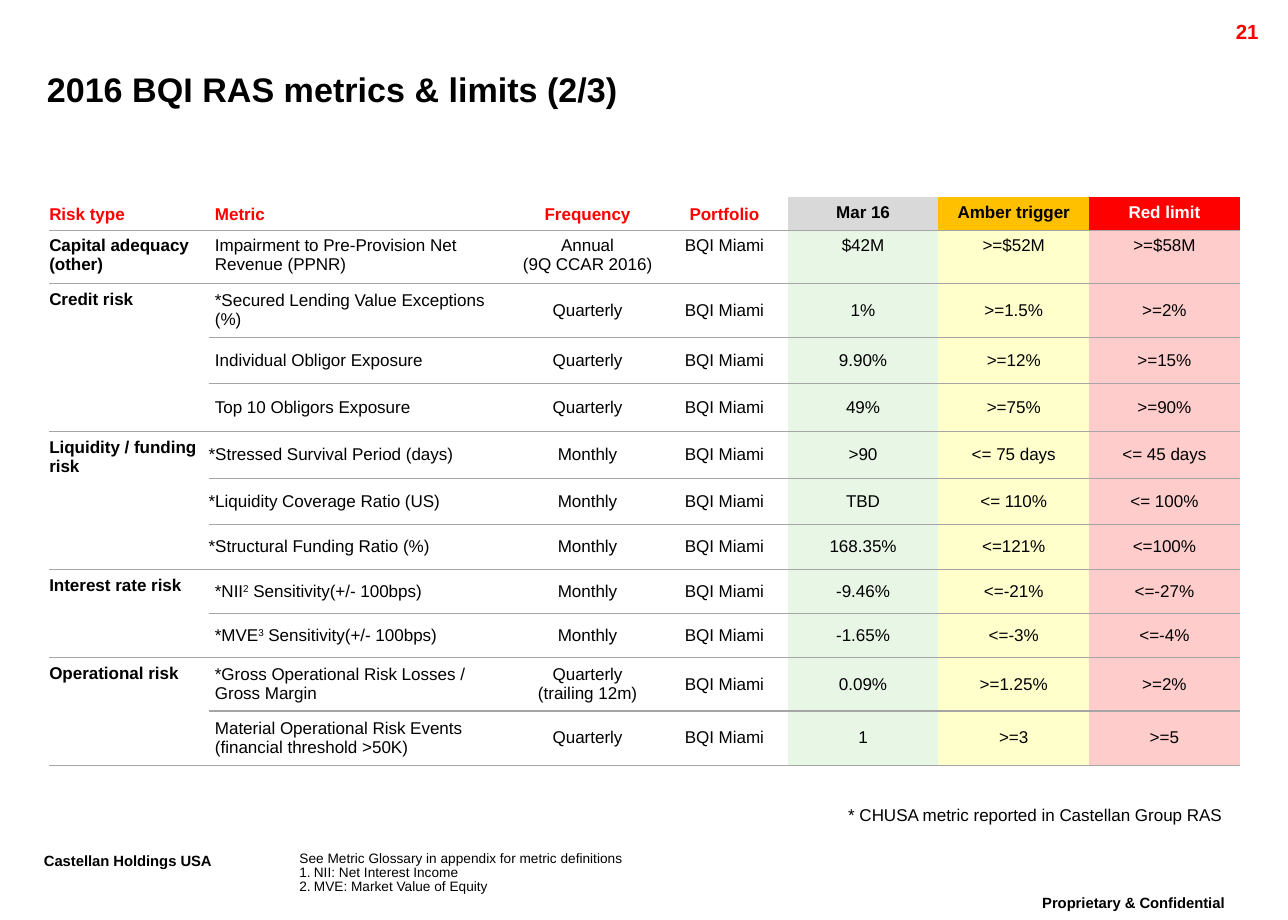
from pptx import Presentation
from pptx import util as u
from pptx.dml.color import RGBColor
from pptx.enum import text
from pptx.oxml import parse_xml
from pptx.oxml.ns import nsdecls, qn

COLORS = {"black": "000000", "white": "FFFFFF", "red": "FF0000", "line": "A5A5A5",
          "gray": "D9D9D9", "amber": "FFC000",
          "pale_green": "E8F6E6", "pale_yellow": "FFFFCC", "pale_red": "FFCCCC"}
LEFT, CENTER, RIGHT = text.PP_ALIGN.LEFT, text.PP_ALIGN.CENTER, text.PP_ALIGN.RIGHT
TOP, MIDDLE, BOTTOM = text.MSO_ANCHOR.TOP, text.MSO_ANCHOR.MIDDLE, text.MSO_ANCHOR.BOTTOM
NO_STYLE = "{2D5ABB26-0587-4C30-8999-92F81FD0307C}"

HEADERS = ["Risk type", "Metric", "Frequency", "Portfolio", "Mar 16", "Amber trigger", "Red limit"]
HEADER_FILLS = [None] * 4 + ["gray", "amber", "red"]
HEADER_COLORS = ["red"] * 4 + ["black", "black", "white"]
BODY_FILLS = [None] * 4 + ["pale_green", "pale_yellow", "pale_red"]
COL_WIDTHS = [3.3, 6.32, 3.05, 2.62, 3.12, 3.12, 3.12]
ROW_HEIGHTS = [0.68, 1.11, 1.1, 0.95, 1.0, 0.97, 0.96, 0.93, 0.91, 0.91, 1.1, 1.12]

# Risk type -> rows of metric, frequency, current value, amber trigger, red limit
RISKS = {
    "Capital adequacy (other)": [
        ("Impairment to Pre-Provision Net Revenue (PPNR)", "Annual\n(9Q CCAR 2016)",
         "$42M", ">=$52M", ">=$58M")],
    "Credit risk": [
        ("*Secured Lending Value Exceptions (%)", "Quarterly", "1%", ">=1.5%", ">=2%"),
        ("Individual Obligor Exposure", "Quarterly", "9.90%", ">=12%", ">=15%"),
        ("Top 10 Obligors Exposure", "Quarterly", "49%", ">=75%", ">=90%")],
    "Liquidity / funding risk": [
        ("*Stressed Survival Period (days)", "Monthly", ">90", "<= 75 days", "<= 45 days"),
        ("*Liquidity Coverage Ratio (US)", "Monthly", "TBD", "<= 110%", "<= 100%"),
        ("*Structural Funding Ratio (%)", "Monthly", "168.35%", "<=121%", "<=100%")],
    "Interest rate risk": [
        ("*NII^2^ Sensitivity(+/- 100bps)", "Monthly", "-9.46%", "<=-21%", "<=-27%"),
        ("*MVE^3^ Sensitivity(+/- 100bps)", "Monthly", "-1.65%", "<=-3%", "<=-4%")],
    "Operational risk": [
        ("*Gross Operational Risk Losses / Gross Margin", "Quarterly\n(trailing 12m)",
         "0.09%", ">=1.25%", ">=2%"),
        ("Material Operational Risk Events (financial threshold >50K)", "Quarterly",
         "1", ">=3", ">=5")],
}


def write(tf, content, size=10, color="black", bold=False, align=LEFT, spacing=1.0, raised=False):
    """Fill a text frame; a part between ^ marks is superscript."""
    for i, line in enumerate(content.split("\n")):
        p = tf.paragraphs[0] if i == 0 else tf.add_paragraph()
        p.alignment, p.line_spacing, p.space_before = align, spacing, u.Pt(0)
        for j, part in enumerate(line.split("^")):
            r = p.add_run()
            r.text = part
            r.font.name, r.font.size, r.font.bold = "Arial", u.Pt(size), bold
            r.font.color.rgb = RGBColor.from_string(COLORS[color])
            if raised or j % 2:
                r._r.get_or_add_rPr().set("baseline", "30000")


def set_margins(box, left, other):
    box.margin_left = u.Cm(left)
    box.margin_top = box.margin_right = box.margin_bottom = u.Cm(other)


class Deck:
    def __init__(self, width, height):
        self.prs = Presentation()
        self.prs.slide_width, self.prs.slide_height = u.Cm(width), u.Cm(height)
        self.s = self.prs.slides.add_slide(self.prs.slide_layouts[1])

    def placeholder(self, idx, at, content, anchor=TOP, **fmt):
        sp = self.s.placeholders[idx]
        sp.left, sp.top, sp.width, sp.height = map(u.Cm, at)
        tf = sp.text_frame
        tf.auto_size, tf.vertical_anchor = text.MSO_AUTO_SIZE.NONE, anchor
        set_margins(tf, 0, 0)
        write(tf, content, **fmt)
        return tf

    def glossary(self, at, content, **fmt):
        """An opening line followed by numbered definitions."""
        tf = self.placeholder(1, at, content, **fmt)
        for i, p in enumerate(tf.paragraphs):
            p.line_spacing = 0.86 if i else 1.0
            pPr = p._p.get_or_add_pPr()
            indent = u.Cm(0.3) if i else 0
            pPr.set("marL", str(indent))
            pPr.set("indent", str(-indent))
            bullet = '<a:buAutoNum %s type="arabicPeriod"/>' if i else "<a:buNone %s/>"
            pPr.append(parse_xml(bullet % nsdecls("a")))

    def label(self, at, content, wrap=False, **fmt):
        tf = self.s.shapes.add_textbox(*map(u.Cm, at)).text_frame
        tf.word_wrap = wrap
        write(tf, content, **fmt)

    def cell(self, cell, content, fill=None, anchor=MIDDLE, left=0.13, other=0.13, **fmt):
        cell.vertical_anchor = anchor
        set_margins(cell, left, other)
        if content:
            write(cell.text_frame, content, **fmt)
        if fill:
            cell.fill.solid()
            cell.fill.fore_color.rgb = RGBColor.from_string(COLORS[fill])
        else:
            cell.fill.background()
        cell._tc.get_or_add_tcPr().insert(0, parse_xml(
            f'<a:lnB {nsdecls("a")} w="9525"><a:solidFill><a:srgbClr val="{COLORS["line"]}"/>'
            '</a:solidFill></a:lnB>'))

    def table(self, left, top):
        gf = self.s.shapes.add_table(len(ROW_HEIGHTS), len(COL_WIDTHS), u.Cm(left), u.Cm(top),
                                     u.Cm(sum(COL_WIDTHS)), u.Cm(sum(ROW_HEIGHTS)))
        t = gf.table
        t.first_row = t.horz_banding = False
        t._tbl.tblPr.find(qn("a:tableStyleId")).text = NO_STYLE
        for col, width in zip(t.columns, COL_WIDTHS):
            col.width = u.Cm(width)
        for row, height in zip(t.rows, ROW_HEIGHTS):
            row.height = u.Cm(height)
        return t


def main():
    deck = Deck(26.67, 19.05)

    # Title and page number
    deck.placeholder(0, (0.97, 1.24, 24.08, 1.22), "2016 BQI RAS metrics & limits (2/3)",
                     anchor=MIDDLE, size=20, bold=True)
    deck.label((23.77, 0.28, 2.54, 0.61), "21", wrap=True, size=12, color="red",
               bold=True, align=RIGHT)

    # Table header
    t = deck.table(1.02, 4.08)
    for c, header in enumerate(HEADERS):
        deck.cell(t.cell(0, c), header, fill=HEADER_FILLS[c], color=HEADER_COLORS[c], bold=True,
                  left=0.13 if c else 0, anchor=TOP if HEADER_FILLS[c] else BOTTOM,
                  align=CENTER if c > 1 else LEFT)

    # Table body, one merged first cell per risk type
    row = 1
    for risk, metrics in RISKS.items():
        first = row
        for metric, frequency, *values in metrics:
            flush = risk.startswith("Liquidity")
            cells = [risk if row == first else "", metric, frequency, "BQI Miami", *values]
            for c, content in enumerate(cells):
                margin = 0 if flush and c == 1 else 0.13
                deck.cell(t.cell(row, c), content, fill=BODY_FILLS[c], bold=c == 0,
                          left=margin if c else 0, other=margin,
                          anchor=TOP if c == 0 or row == 1 else MIDDLE,
                          align=CENTER if c > 1 else LEFT)
            row += 1
        if len(metrics) > 1:
            t.cell(first, 0).merge(t.cell(row - 1, 0))

    # Footnote and glossary
    deck.label((17.2, 16.59, 8.46, 0.64), "* CHUSA metric reported in Castellan Group RAS",
               align=CENTER, spacing=0.86)
    deck.glossary((6.2, 17.6, 13.89, 0.94),
                  "See Metric Glossary in appendix for metric definitions\n"
                  "NII: Net Interest Income\nMVE: Market Value of Equity", size=8)

    # Footer
    footer = dict(size=15, bold=True, spacing=0.86, raised=True)
    deck.label((0.66, 17.55, 4.85, 0.89), "Castellan Holdings USA", **footer)
    deck.label((20.7, 18.42, 5.54, 0.89), "Proprietary & Confidential", align=CENTER, **footer)

    deck.prs.save("out.pptx")


if __name__ == "__main__":
    main()
